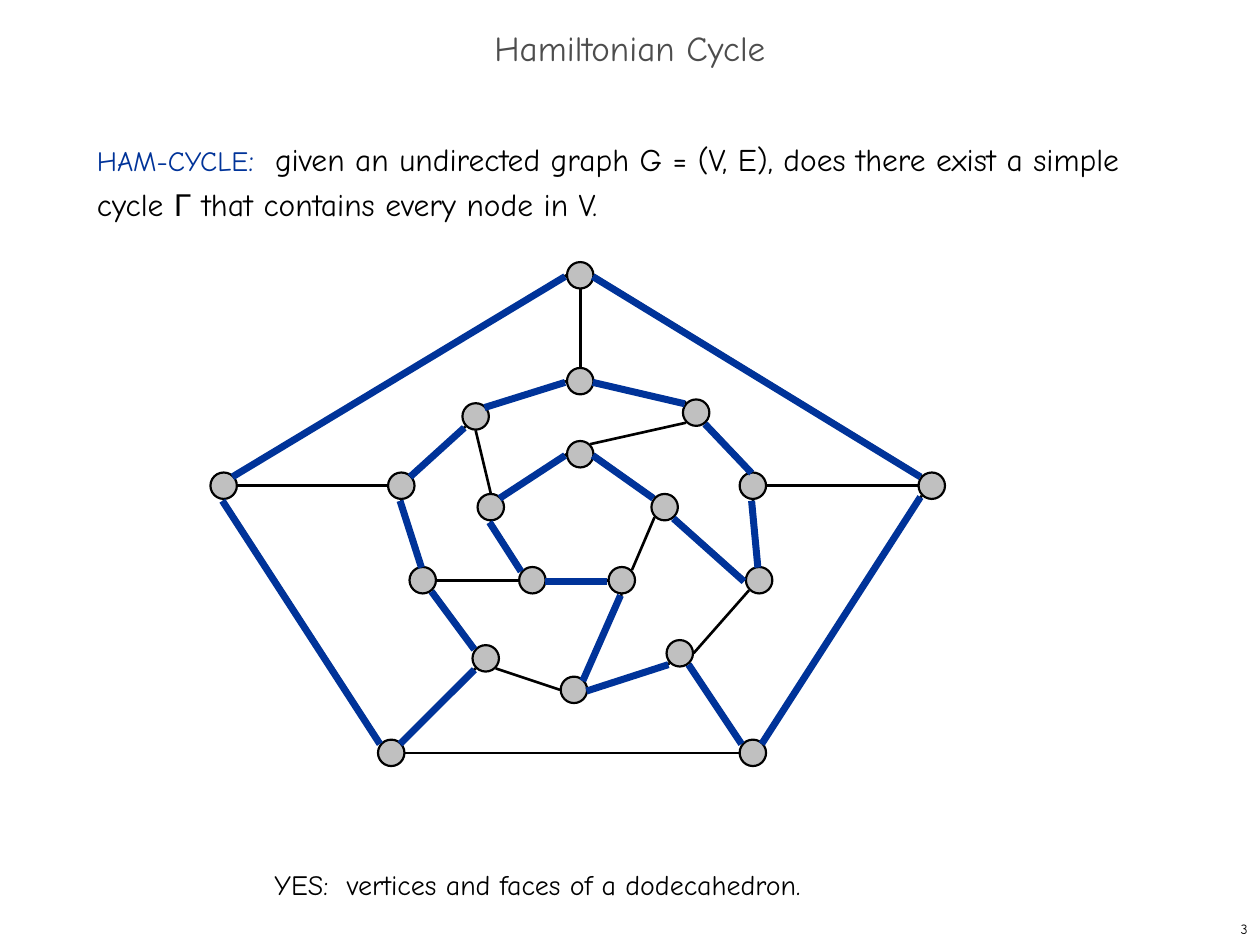
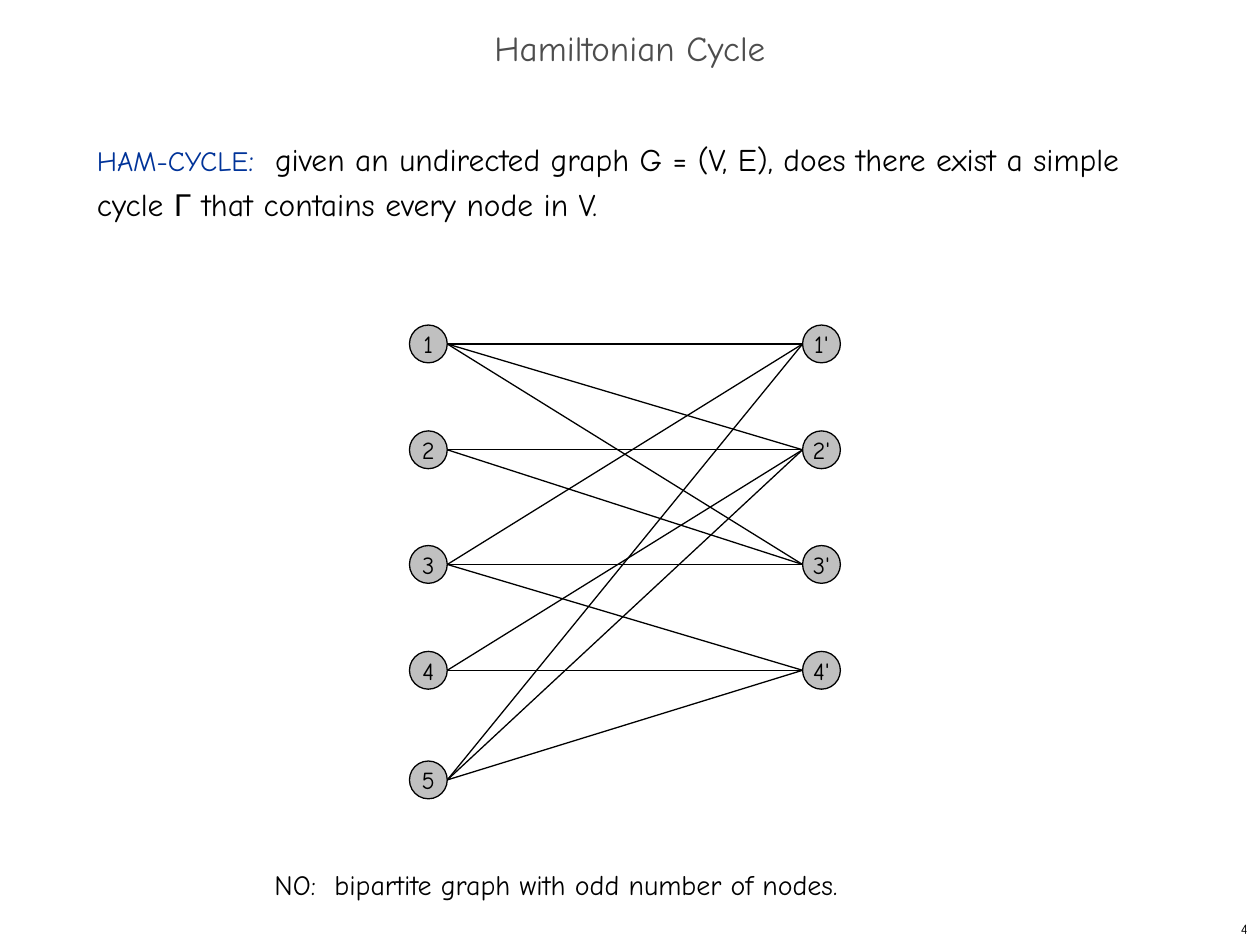
from pptx import Presentation
from pptx.dml.color import RGBColor
from pptx.enum.shapes import MSO_CONNECTOR, MSO_SHAPE
from pptx.enum.text import MSO_ANCHOR, PP_ALIGN
from pptx.oxml.ns import qn
from pptx.util import Inches, Pt

LEFT, CENTER, RIGHT = PP_ALIGN.LEFT, PP_ALIGN.CENTER, PP_ALIGN.RIGHT
TOP, MIDDLE = MSO_ANCHOR.TOP, MSO_ANCHOR.MIDDLE
STRAIGHT, OVAL = MSO_CONNECTOR.STRAIGHT, MSO_SHAPE.OVAL

WIDTH, HEIGHT = 10, 7.5
FONT, GREEK_FONT = "Comic Neue", "Arial"
BLACK, GRAY, BLUE, SILVER = "000000", "4D4D4D", "003399", "C0C0C0"

TITLE = "Hamiltonian Cycle"
QUESTION = [  # text, size, colour, font
    ("HAM-CYCLE", 16, BLUE, FONT),
    (":  ", 18, BLUE, FONT),
    ("given an undirected graph G = (V, E), does there exist a simple cycle ",
     18, BLACK, FONT),
    ("Γ", 18, BLACK, GREEK_FONT),
    (" that contains every node in V.", 18, BLACK, FONT),
]
YES = "YES:  vertices and faces of a dodecahedron."
NO = "NO:  bipartite graph with odd number of nodes."

# Dodecahedron: each ring lists the corners of its nodes clockwise from the top.
RINGS = {
    "A": [(4.5, 2.08), (7.29, 3.75), (5.87, 5.87), (3, 5.87), (1.67, 3.75)],
    "B": [(4.5, 2.92), (5.42, 3.17), (5.87, 3.75), (5.92, 4.5), (5.29, 5.08),
          (4.45, 5.37), (3.75, 5.12), (3.25, 4.5), (3.08, 3.75), (3.67, 3.2)],
    "C": [(4.5, 3.5), (5.17, 3.92), (4.83, 4.5), (4.12, 4.5), (3.79, 3.92)],
}
# An edge names each node and the compass side where it touches that node.
CYCLE = [
    "A0 E A1 NW", "A1 SW A2 NE", "A2 NW B4 SE", "B4 SW B5 E", "B5 NE C2 S",
    "C2 W C3 E", "C3 NW C4 S", "C4 NE C0 W", "C0 E C1 NW", "C1 SE B3 W",
    "B3 N B2 S", "B2 N B1 SE", "B1 NW B0 E", "B0 W B9 NE", "B9 SW B8 NE",
    "B8 S B7 N", "B7 SE B6 NW", "B6 SW A3 NE", "A3 NW A4 S", "A4 NE A0 W",
]
UNUSED_EDGES = [
    "C2 NE C1 SW", "A3 E A2 W", "B3 SW B4 E", "B6 SE B5 W", "B8 W A4 E",
    "B0 N A0 S", "B2 E A1 W", "C3 W B7 E", "C4 N B9 S", "B1 SW C0 NE",
]
NODE = 0.21
SIDE_REACH, DIAGONAL_REACH = 0.11, 0.08
CYCLE_SHIFT = 0.01

# Bipartite graph: left node -> right nodes.
NEIGHBOURS = {1: [1, 2, 3], 2: [2, 3], 3: [1, 3, 4], 4: [2, 4], 5: [1, 2, 4]}
ROW_TOPS = [2.58, 3.42, 4.33, 5.17, 6.04]
LEFT_COLUMN, RIGHT_COLUMN = 3.25, 6.37
LABELLED_NODE = 0.3


def color(value):
    return RGBColor.from_string(value)


def write(shape, spans, align=LEFT, anchor=TOP, wrap=True, spacing=None):
    """Fill a shape with one paragraph of (text, size, colour, font) spans."""
    frame = shape.text_frame
    frame.word_wrap, frame.vertical_anchor = wrap, anchor
    para = frame.paragraphs[0]
    para.alignment, para.line_spacing = align, spacing
    for text, size, ink, font in spans:
        span = para.add_run()
        span.text = text
        for name, value in {"size": Pt(size), "name": font}.items():
            setattr(span.font, name, value)
        span.font.color.rgb = color(ink)


def add_text(page, place, spans, **layout):
    box = page.shapes.add_textbox(*map(Inches, place))
    write(box, spans, **layout)


def add_node(page, left, top, size, outline, label=None):
    node = page.shapes.add_shape(OVAL, *map(Inches, (left, top, size, size)))
    node.shadow.inherit = False
    node.fill.solid()
    node.fill.fore_color.rgb = color(SILVER)
    node.line.color.rgb = color(BLACK)
    node.line.width = Pt(outline)
    if label:
        write(node, [(label, 14, BLACK, FONT)], CENTER, MIDDLE, wrap=False)


def add_edge(page, start, end, ink, width):
    edge = page.shapes.add_connector(STRAIGHT, *map(Inches, (*start, *end)))
    properties = edge.line._get_or_add_ln().getparent()
    edge.line.color.rgb = color(ink)
    edge.line.width = Pt(width)
    properties.append(properties.makeelement(qn("a:effectLst"), {}))


def touch_point(node, side, shift):
    """Point where an edge meets a ring node on the given compass side."""
    left, top = RINGS[node[0]][int(node[1:])]
    reach = DIAGONAL_REACH if len(side) == 2 else SIDE_REACH
    across = ("E" in side) - ("W" in side)
    down = ("S" in side) - ("N" in side)
    return (left + NODE / 2 + across * reach - shift,
            top + NODE / 2 + down * reach + shift)


def add_ring_edges(page, edges, ink, width, shift=0):
    for edge in edges:
        first, first_side, second, second_side = edge.split()
        add_edge(page, touch_point(first, first_side, shift),
                 touch_point(second, second_side, shift), ink, width)


def draw_dodecahedron(page):
    for ring in RINGS.values():
        for left, top in ring:
            add_node(page, left, top, NODE, 1.25)
    add_ring_edges(page, CYCLE + UNUSED_EDGES, BLACK, 1.5)
    add_ring_edges(page, CYCLE, BLUE, 4, CYCLE_SHIFT)


def draw_bipartite(page):
    for row, top in enumerate(ROW_TOPS, 1):
        add_node(page, LEFT_COLUMN, top, LABELLED_NODE, 0.75, str(row))
        if row < len(ROW_TOPS):
            add_node(page, RIGHT_COLUMN, top, LABELLED_NODE, 0.75, f"{row}'")
    middles = [top + LABELLED_NODE / 2 for top in ROW_TOPS]
    for row, others in NEIGHBOURS.items():
        for other in others:
            add_edge(page, (LEFT_COLUMN + LABELLED_NODE, middles[row - 1]),
                     (RIGHT_COLUMN, middles[other - 1]), BLACK, 0.75)


def add_page(deck, number, draw_graph, answer):
    page = deck.slides.add_slide(deck.slide_layouts[6])
    add_text(page, (7.92, 7.25, 2.08, 0.25), [(str(number), 8, BLACK, FONT)],
             align=RIGHT, anchor=MIDDLE)
    add_text(page, (0, 0.17, WIDTH, 0.5), [(TITLE, 20, GRAY, FONT)],
             align=CENTER, anchor=MIDDLE, spacing=0.7)
    add_text(page, (0.67, 1, 8.58, 5.92), QUESTION, spacing=Pt(26))
    draw_graph(page)
    add_text(page, (2.08, 6.84, 5.92, 0.37), [(answer, 16, BLACK, FONT)])


def main():
    deck = Presentation()
    deck.slide_width, deck.slide_height = Inches(WIDTH), Inches(HEIGHT)
    add_page(deck, 3, draw_dodecahedron, YES)
    add_page(deck, 4, draw_bipartite, NO)
    deck.save("out.pptx")


if __name__ == "__main__":
    main()
